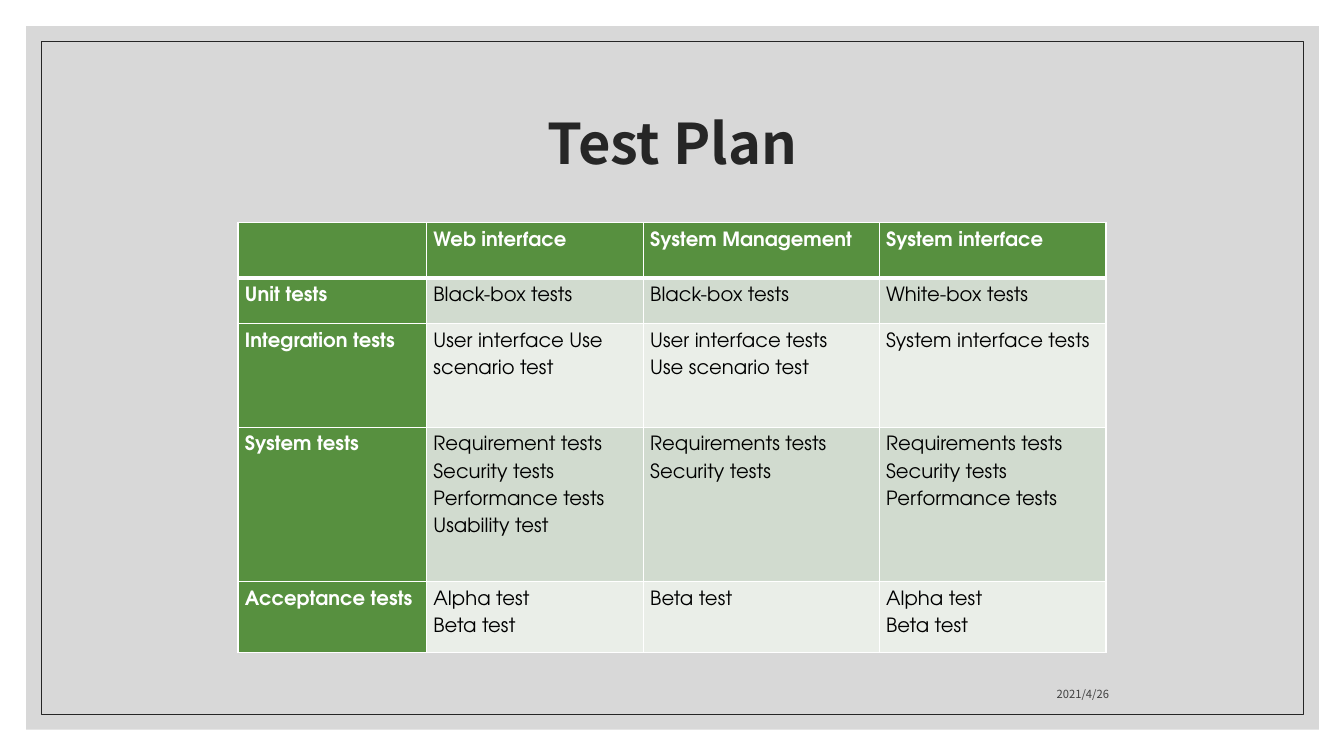
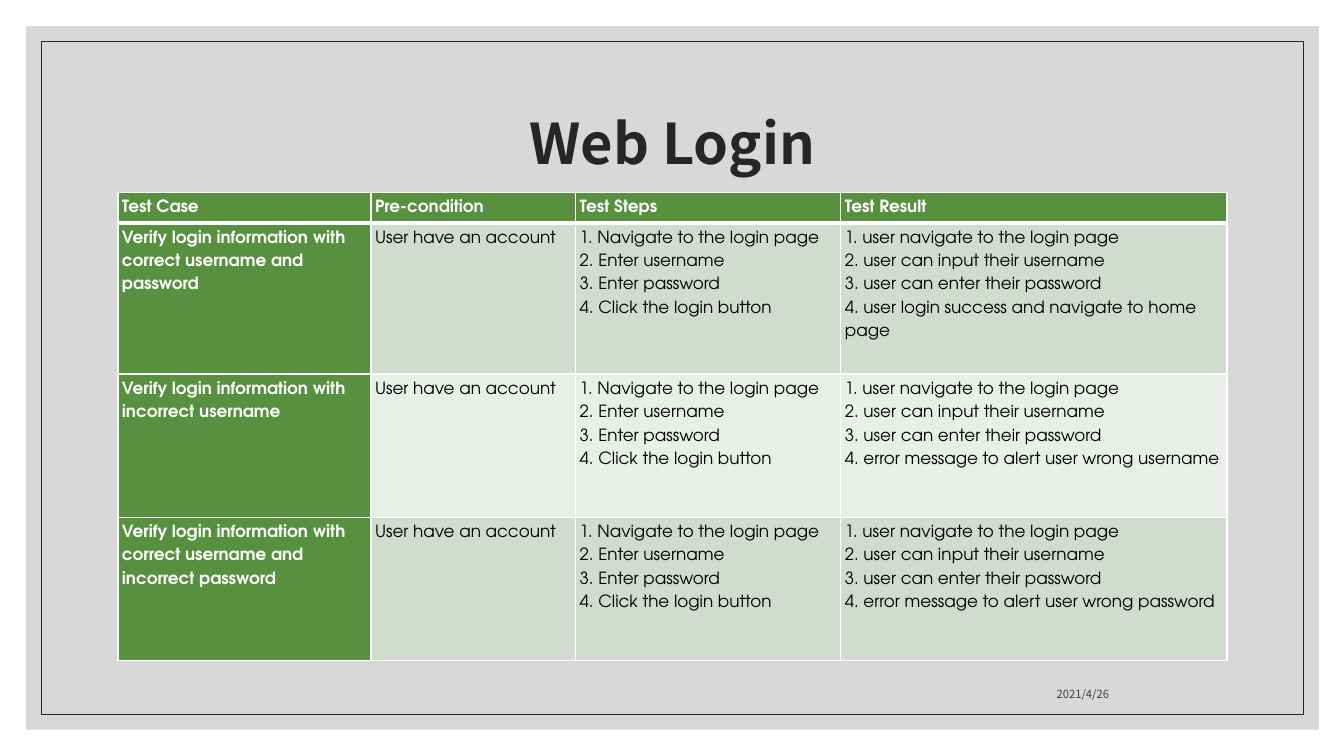
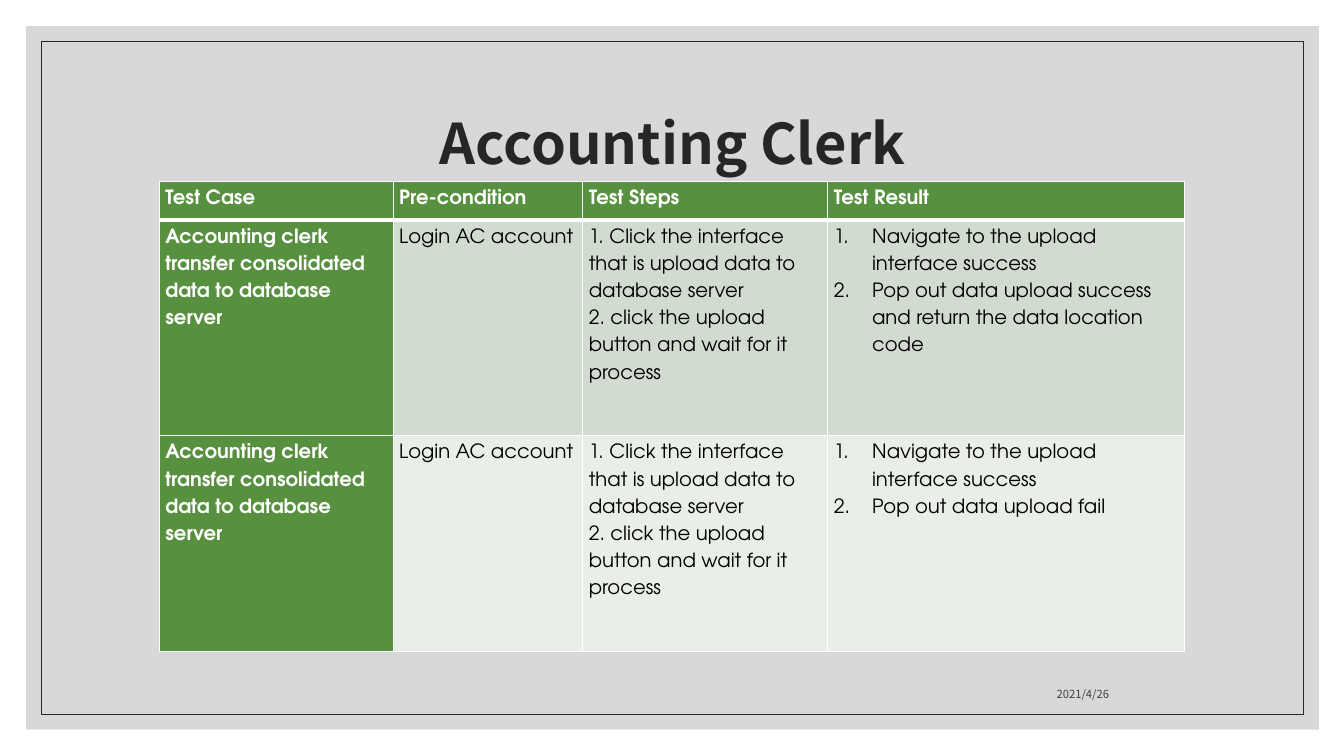
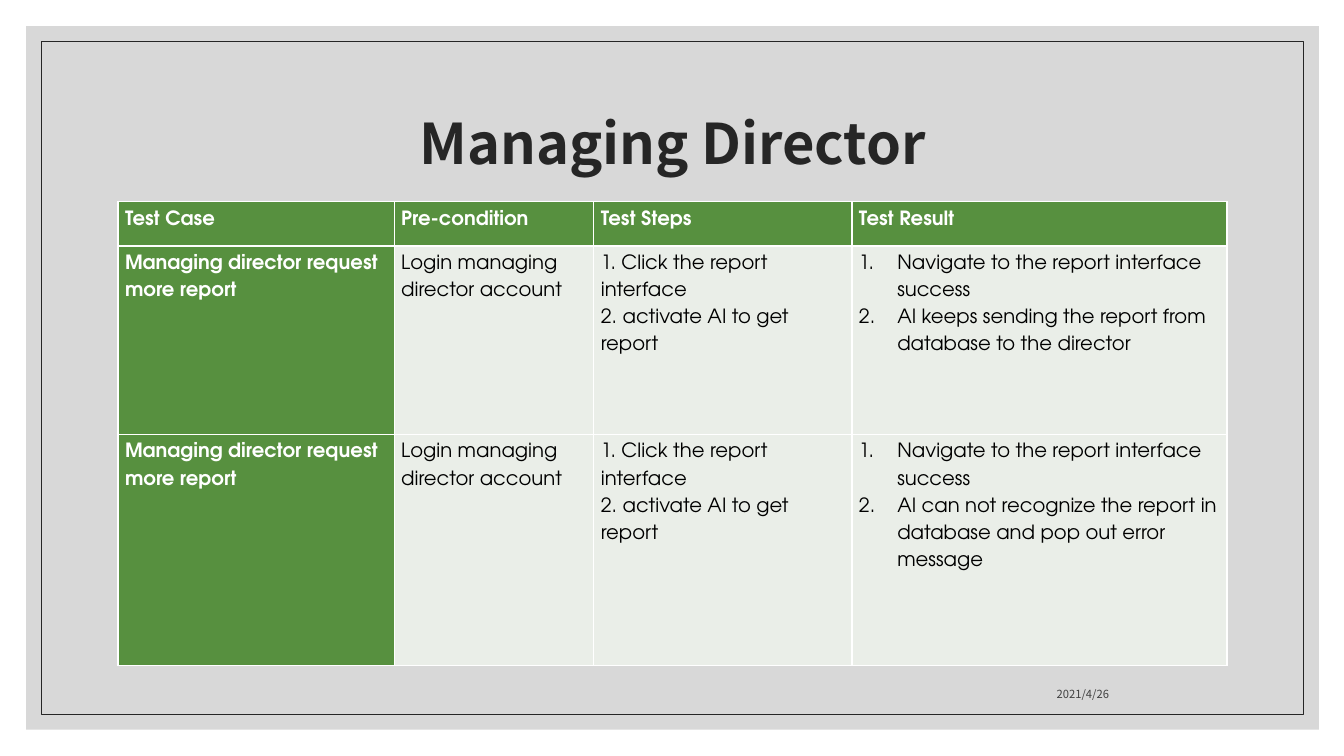
"""Build the four test plan slides."""
from dataclasses import dataclass

from lxml import etree
from pptx import Presentation
from pptx.dml.color import RGBColor
from pptx.enum.shapes import MSO_SHAPE
from pptx.enum.text import MSO_ANCHOR, PP_ALIGN
from pptx.oxml.ns import qn
from pptx.util import Inches, Pt

RECTANGLE = MSO_SHAPE.RECTANGLE
MIDDLE, BOTTOM = MSO_ANCHOR.MIDDLE, MSO_ANCHOR.BOTTOM
LEFT, CENTER = PP_ALIGN.LEFT, PP_ALIGN.CENTER
RIGHT, JUSTIFY = PP_ALIGN.RIGHT, PP_ALIGN.JUSTIFY

COLORS = {
    "panel": "BFBFBF",
    "ink": "262626",
    "date": "404040",
    "green": "57903F",
    "band": "D1DBCF",
    "light": "EAEEE8",
    "white": "FFFFFF",
    "black": "000000",
}
HEADING_FONT = "Noto Sans CJK TC"
TABLE_FONT = "TeX Gyre Adventor"
PANEL_OPACITY = 60
NUMBER_INDENT = Inches(0.38)
DATE = "2021/4/26"


@dataclass(frozen=True)
class Box:
    """Position and size in inches."""

    left: float
    top: float
    width: float
    height: float

    def lengths(self) -> tuple:
        """Return the four values as lengths."""
        return tuple(Inches(value) for value in (self.left, self.top, self.width, self.height))


@dataclass(frozen=True)
class TextStyle:
    """Look of a piece of text."""

    font: str
    size: float
    color: str
    bold: bool = False
    alignment: PP_ALIGN = LEFT
    line_spacing: float = 1.0


@dataclass(frozen=True)
class TableSlide:
    """A title and the table beneath it, with lines of a cell split by newlines."""

    title: str
    left: float
    top: float
    columns: tuple[float, ...]
    heights: tuple[float, ...]
    rows: tuple[tuple[str, ...], ...]
    size: float = 14
    inset: float = 0.07
    header_rule: float = 3
    header_alignment: PP_ALIGN = JUSTIFY
    bands: tuple[str, str] = ("band", "light")
    numbered_column: int | None = None


PANEL_BOX = Box(0.26, 0.26, 12.82, 6.98)
FRAME_BOX = Box(0.41, 0.41, 12.52, 6.68)
TITLE_BOX = Box(1.17, 0.7, 11, 1.5)
DATE_BOX = Box(7.94, 6.6, 3.16, 0.4)
TITLE_STYLE = TextStyle(HEADING_FONT, 40, "ink", True, CENTER, 0.9)
DATE_STYLE = TextStyle(HEADING_FONT, 8, "date", alignment=RIGHT)

CASE_HEADER = ("Test Case", "Pre-condition", "Test Steps", "Test Result")
LOGIN_STEPS = (
    "1. Navigate to the login page\n2. Enter username\n"
    "3. Enter password\n4. Click the login button"
)
LOGIN_RESULTS = (
    "1. user navigate to the login page\n2. user can input their username\n"
    "3. user can enter their password\n4. "
)
CLERK_CASE = (
    "Accounting clerk transfer consolidated data to database server",
    "Login AC account",
    "1. Click the interface that is upload data to database server\n"
    "2. click the upload button and wait for it process",
)
CLERK_RESULT = "Navigate to the upload interface success\n"
DIRECTOR_CASE = (
    "Managing director request more report",
    "Login managing director account",
    "1. Click the report interface\n2. activate AI to get report",
)
DIRECTOR_RESULT = "Navigate to the report interface success\n"


def login_case(condition: str, outcome: str) -> tuple[str, ...]:
    """Return the row of one login test."""
    return (
        f"Verify login information with {condition}",
        "User have an account",
        LOGIN_STEPS,
        LOGIN_RESULTS + outcome,
    )


TABLE_SLIDES = (
    TableSlide(
        "Test Plan", 2.36, 2.21, (1.87, 2.15, 2.34, 2.25), (0.55, 0.45, 1.03, 1.53, 0.68),
        (
            ("", "Web interface", "System Management", "System interface"),
            ("Unit tests", "Black-box tests", "Black-box tests", "White-box tests"),
            (
                "Integration tests",
                "User interface Use scenario test",
                "User interface tests\nUse scenario test",
                "System interface tests",
            ),
            (
                "System tests",
                "Requirement tests\nSecurity tests\nPerformance tests\nUsability test",
                "Requirements tests\nSecurity tests",
                "Requirements tests\nSecurity tests\nPerformance tests",
            ),
            ("Acceptance tests", "Alpha test\nBeta test", "Beta test", "Alpha test\nBeta test"),
        ),
        header_alignment=LEFT,
    ),
    TableSlide(
        "Web Login", 1.17, 1.91, (2.51, 2.03, 2.63, 3.83), (0.3, 1.42, 1.42, 1.42),
        (
            CASE_HEADER,
            login_case("correct username and password",
                       "user login success and navigate to home page"),
            login_case("incorrect username", "error message to alert user wrong username"),
            login_case("correct username and incorrect password",
                       "error message to alert user wrong password"),
        ),
        size=12,
        inset=0.04,
    ),
    TableSlide(
        "Accounting Clerk", 1.58, 1.8, (2.32, 1.88, 2.43, 3.54), (0.38, 2.14, 2.14),
        (
            CASE_HEADER,
            (*CLERK_CASE,
             CLERK_RESULT + "Pop out data upload success and return the data location code"),
            (*CLERK_CASE, CLERK_RESULT + "Pop out data upload fail"),
        ),
        inset=0.06,
        numbered_column=3,
    ),
    TableSlide(
        "Managing Director", 1.17, 2, (2.74, 1.98, 2.56, 3.72), (0.44, 1.87, 2.29),
        (
            CASE_HEADER,
            (*DIRECTOR_CASE,
             DIRECTOR_RESULT + "AI keeps sending the report from database to the director"),
            (*DIRECTOR_CASE,
             DIRECTOR_RESULT
             + "AI can not recognize the report in database and pop out error message"),
        ),
        header_rule=1,
        bands=("light", "light"),
        numbered_column=3,
    ),
)


def color(name: str) -> RGBColor:
    """Look up a named colour."""
    return RGBColor.from_string(COLORS[name])


def write_text(text_frame, text: str, style: TextStyle) -> None:
    """Set the text of a frame and format every run."""
    text_frame.text = text
    for paragraph in text_frame.paragraphs:
        paragraph.alignment = style.alignment
        paragraph.line_spacing = style.line_spacing
        for run in paragraph.runs:
            run.font.name = style.font
            run.font.size = Pt(style.size)
            run.font.bold = style.bold
            run.font.color.rgb = color(style.color)


def add_text(slide, box: Box, text: str, style: TextStyle, anchor: MSO_ANCHOR) -> None:
    """Add a wrapping text box."""
    text_frame = slide.shapes.add_textbox(*box.lengths()).text_frame
    text_frame.word_wrap = True
    text_frame.vertical_anchor = anchor
    write_text(text_frame, text, style)


def add_backdrop(slide) -> None:
    """Add the translucent panel and the thin frame."""
    panel = slide.shapes.add_shape(RECTANGLE, *PANEL_BOX.lengths())
    panel.shadow.inherit = False
    panel.fill.solid()
    panel.fill.fore_color.rgb = color("panel")
    panel.line.fill.background()
    fill_color = panel.fill._xPr.find(f"{qn('a:solidFill')}/{qn('a:srgbClr')}")
    etree.SubElement(fill_color, qn("a:alpha"), val=str(PANEL_OPACITY * 1000))

    frame = slide.shapes.add_shape(RECTANGLE, *FRAME_BOX.lengths())
    frame.shadow.inherit = False
    frame.fill.background()
    frame.line.color.rgb = color("ink")
    frame.line.width = Pt(0.5)


def add_borders(cell, top: float, bottom: float) -> None:
    """Draw white borders around a cell, before its fill is set."""
    properties = cell._tc.get_or_add_tcPr()
    for side, width in (("L", 1), ("R", 1), ("T", top), ("B", bottom)):
        border = etree.SubElement(properties, qn(f"a:ln{side}"), w=str(Pt(width)))
        fill = etree.SubElement(border, qn("a:solidFill"))
        etree.SubElement(fill, qn("a:srgbClr"), val=COLORS["white"])


def number_paragraphs(text_frame) -> None:
    """Turn the paragraphs into a numbered list with a hanging indent."""
    for paragraph in text_frame.paragraphs:
        properties = paragraph._p.get_or_add_pPr()
        properties.set("marL", str(NUMBER_INDENT))
        properties.set("indent", str(-NUMBER_INDENT))
        etree.SubElement(properties, qn("a:buAutoNum"), type="arabicPeriod")


def fill_cell(cell, content: TableSlide, row: int, column: int) -> None:
    """Write and format one table cell."""
    is_header = row == 0
    is_label = is_header or column == 0
    add_borders(
        cell,
        top=content.header_rule if row == 1 else 1,
        bottom=content.header_rule if is_header else 1,
    )
    cell.fill.solid()
    cell.fill.fore_color.rgb = color("green" if is_label else content.bands[(row - 1) % 2])
    cell.margin_left = cell.margin_right = Inches(content.inset)
    cell.margin_top = cell.margin_bottom = 0
    style = TextStyle(
        TABLE_FONT,
        content.size,
        "white" if is_label else "black",
        is_label,
        content.header_alignment if is_header else LEFT,
        1.5,
    )
    write_text(cell.text_frame, content.rows[row][column], style)
    if column == content.numbered_column and not is_header:
        number_paragraphs(cell.text_frame)


def add_test_table(slide, content: TableSlide) -> None:
    """Add the table of a slide."""
    box = Box(content.left, content.top, sum(content.columns), sum(content.heights))
    table = slide.shapes.add_table(
        len(content.heights), len(content.columns), *box.lengths()
    ).table
    table.first_row = table.horz_banding = False
    for column, width in zip(table.columns, content.columns):
        column.width = Inches(width)
    for row_index, height in enumerate(content.heights):
        table.rows[row_index].height = Inches(height)
        for column_index in range(len(content.columns)):
            fill_cell(table.cell(row_index, column_index), content, row_index, column_index)


def main() -> None:
    """Build and save the presentation."""
    presentation = Presentation()
    presentation.slide_width = Inches(13.33)
    presentation.slide_height = Inches(7.5)
    blank_layout = presentation.slide_layouts[6]
    for content in TABLE_SLIDES:
        slide = presentation.slides.add_slide(blank_layout)
        add_backdrop(slide)
        add_text(slide, TITLE_BOX, content.title, TITLE_STYLE, MIDDLE)
        add_test_table(slide, content)
        add_text(slide, DATE_BOX, DATE, DATE_STYLE, BOTTOM)
    presentation.save("out.pptx")


if __name__ == "__main__":
    main()
